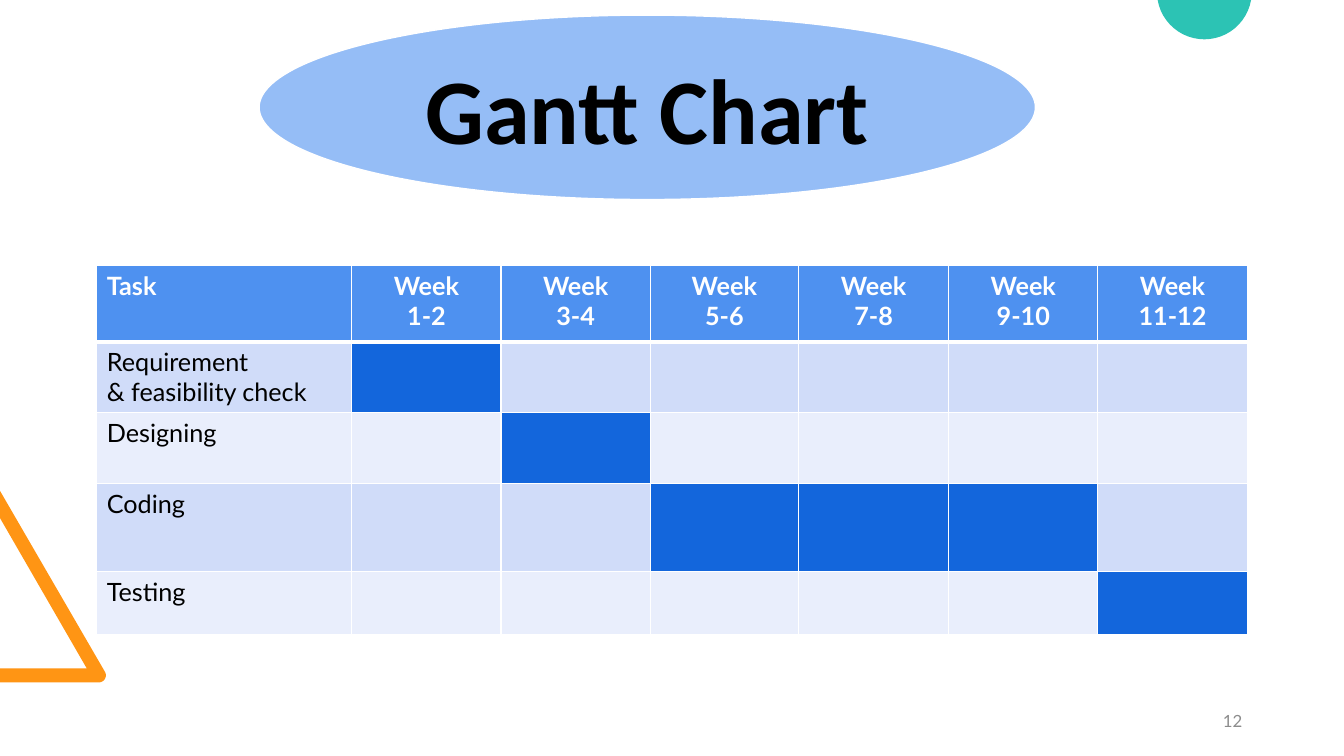
import math

import lxml.etree
import pptx
import pptx.dml.color
import pptx.enum.shapes
import pptx.enum.text
import pptx.oxml.ns
import pptx.util

EMU_PER_PX = 9144  # 100 px to the inch
COLORS = {
    "white": "FFFFFF", "black": "000000", "gray": "8C8C8C",
    "orange": "FF9514", "teal": "2CC3B4", "title": "95BDF6",
    "header": "4E91F0", "band_dark": "D0DCF9", "band_light": "E9EEFC",
    "active": "1366DC",
}
ALIGN = pptx.enum.text.PP_ALIGN
MIDDLE = pptx.enum.text.MSO_ANCHOR.MIDDLE

WEEKS = ["1-2", "3-4", "5-6", "7-8", "9-10", "11-12"]
# Task lines and the week columns in which the task is active
TASKS = [
    (["Requirement", "& feasibility check"], [1]),
    (["Designing"], [2]),
    (["Coding"], [3, 4, 5]),
    (["Testing"], [6]),
]
COLUMN_WIDTHS = [253, 148, 148, 147, 149, 148, 148]
ROW_HEIGHTS = [76, 63, 71, 87, 63]


def px(value):
    return pptx.util.Emu(round(value * EMU_PER_PX))


def rgb(name):
    return pptx.dml.color.RGBColor.from_string(COLORS[name])


def arc(center_x, center_y, radius, start, end, steps=24):
    """Points along a circle, with angles in degrees, clockwise from the right."""
    angles = [math.radians(start + (end - start) * i / steps) for i in range(steps + 1)]
    return [(center_x + radius * math.cos(a), center_y + radius * math.sin(a)) for a in angles]


class SlideBuilder:
    font = "Lato"

    def __init__(self, slide):
        self.slide = slide

    def add_lines(self, frame, lines, size, color, bold=False, align=ALIGN.LEFT, font=font):
        for index, line in enumerate(lines):
            paragraph = frame.add_paragraph() if index else frame.paragraphs[0]
            paragraph.alignment = align
            run = paragraph.add_run()
            run.text = line
            run.font.name = font
            run.font.size = pptx.util.Pt(size)
            run.font.bold = bold
            run.font.color.rgb = rgb(color)

    def paint(self, shape, color):
        shape.shadow.inherit = False
        shape.fill.solid()
        shape.fill.fore_color.rgb = rgb(color)
        shape.line.fill.background()

    def outline(self, points, color):
        corners = [(px(x), px(y)) for x, y in points]
        builder = self.slide.shapes.build_freeform(*corners[0])
        builder.add_line_segments(corners[1:], close=True)
        self.paint(builder.convert_to_shape(), color)

    def ellipse(self, left, top, width, height, color, text, size, font):
        shape = self.slide.shapes.add_shape(
            pptx.enum.shapes.MSO_SHAPE.OVAL, px(left), px(top), px(width), px(height))
        self.paint(shape, color)
        shape.line.color.rgb = rgb("white")
        shape.line.width = pptx.util.Pt(1)
        shape.text_frame.vertical_anchor = MIDDLE
        self.add_lines(shape.text_frame, [text], size, "black", True, ALIGN.CENTER, font)

    def text(self, left, top, width, height, text, size, color, align):
        frame = self.slide.shapes.add_textbox(px(left), px(top), px(width), px(height)).text_frame
        frame.word_wrap = True
        frame.vertical_anchor = MIDDLE
        self.add_lines(frame, [text], size, color, align=align)

    def table(self, left, top, widths, heights):
        table = self.slide.shapes.add_table(
            len(heights), len(widths), px(left), px(top),
            px(sum(widths)), px(sum(heights))).table
        table.horz_banding = False
        for column, width in zip(table.columns, widths):
            column.width = px(width)
        for row, height in zip(table.rows, heights):
            row.height = px(height)
        return table

    def cell(self, cell, color, top_border=1, bottom_border=1):
        properties = cell._tc.get_or_add_tcPr()
        borders = {"lnL": 1, "lnR": 1, "lnT": top_border, "lnB": bottom_border}
        for side, points in borders.items():
            line = lxml.etree.SubElement(
                properties, pptx.oxml.ns.qn(f"a:{side}"), w=str(pptx.util.Pt(points)))
            fill = lxml.etree.SubElement(line, pptx.oxml.ns.qn("a:solidFill"))
            lxml.etree.SubElement(fill, pptx.oxml.ns.qn("a:srgbClr"), val=COLORS["white"])
        cell.fill.solid()
        cell.fill.fore_color.rgb = rgb(color)


def main():
    presentation = pptx.Presentation()
    presentation.slide_width = px(1333)
    presentation.slide_height = px(750)
    builder = SlideBuilder(presentation.slides.add_slide(presentation.slide_layouts[6]))

    # Corner decorations
    triangle = [(0, 677), (0, 663), (86, 663), (0, 514), (0, 487)]
    builder.outline(triangle + arc(98, 670, 7, -30, 90), "orange")
    builder.outline(arc(1194.5, -8, 47, 9.8, 170.2), "teal")

    # Slide number
    builder.text(942, 695, 300, 40, "12", 12, "gray", ALIGN.RIGHT)

    # Gantt table: header row
    table = builder.table(96, 263, COLUMN_WIDTHS, ROW_HEIGHTS)
    for column in range(len(COLUMN_WIDTHS)):
        cell = table.cell(0, column)
        builder.cell(cell, "header", bottom_border=3)
        lines = ["Week", WEEKS[column - 1]] if column else ["Task"]
        align = ALIGN.CENTER if column else ALIGN.LEFT
        builder.add_lines(cell.text_frame, lines, 18, "white", True, align)

    # Gantt table: one banded row per task
    for row, (lines, active_weeks) in enumerate(TASKS, start=1):
        band = "band_dark" if row % 2 else "band_light"
        for column in range(len(COLUMN_WIDTHS)):
            color = "active" if column in active_weeks else band
            builder.cell(table.cell(row, column), color, top_border=3 if row == 1 else 1)
        builder.add_lines(table.cell(row, 0).text_frame, lines, 18, "black")

    # Title
    builder.ellipse(257, 15, 770, 183, "title", "Gantt Chart", 66, "Calibri")

    presentation.save("out.pptx")


if __name__ == "__main__":
    main()
